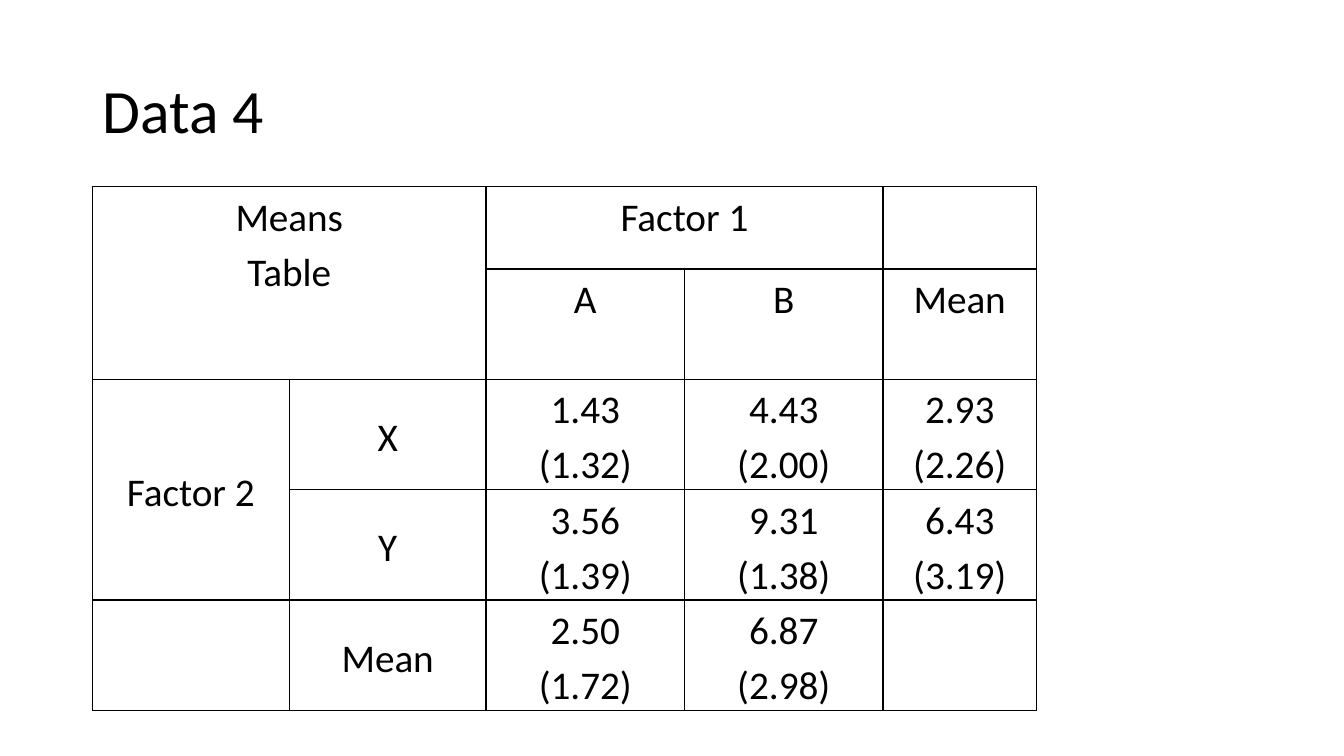
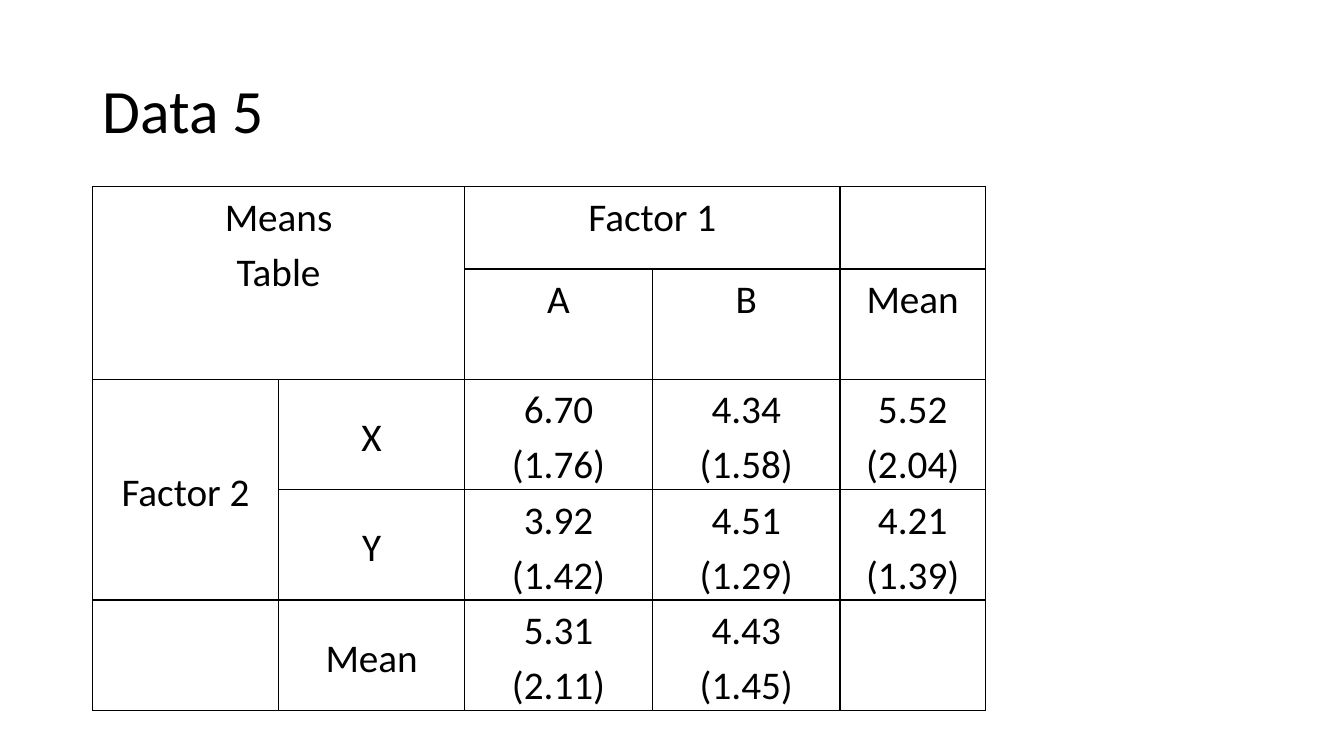
from dataclasses import dataclass

from lxml.etree import SubElement
from pptx import Presentation
from pptx.dml.color import RGBColor
from pptx.enum.text import MSO_ANCHOR as Anchor, PP_ALIGN as Align
from pptx.oxml import parse_xml
from pptx.oxml.ns import nsdecls, qn
from pptx.util import Cm, Pt


@dataclass(frozen=True)
class Theme:
    ink: RGBColor = RGBColor(0, 0, 0)
    font: str = "Calibri"
    title_size: Pt = Pt(44)
    cell_size: Pt = Pt(28)
    border: Pt = Pt(1)


THEME = Theme()
LEFT, TABLE_TOP = Cm(2.33), Cm(4.7)
ROW_HEIGHTS = [2.08, 2.78, 2.78, 2.78, 2.78]
MERGES = [((0, 0), (1, 1)), ((0, 2), (0, 3)), ((2, 0), (3, 0))]
TITLE_BOX = {"left": LEFT, "top": Cm(1.01), "width": Cm(29.21), "height": Cm(3.68)}
CELL_FORMAT = {
    "margin_left": Cm(0.18),
    "margin_right": Cm(0.18),
    "margin_top": 0,
    "margin_bottom": 0,
}
TITLE_PARAGRAPH = {"alignment": Align.LEFT, "line_spacing": 0.9}
CELL_PARAGRAPH = {"alignment": Align.CENTER, "line_spacing": 1.15}

DATASETS = [
    {
        "title": "Data 4",
        "column_widths": [4.96, 4.96, 5, 5, 3.87],
        "X": ["1.43\n(1.32)", "4.43\n(2.00)", "2.93\n(2.26)"],
        "Y": ["3.56\n(1.39)", "9.31\n(1.38)", "6.43\n(3.19)"],
        "Mean": ["2.50\n(1.72)", "6.87\n(2.98)", ""],
    },
    {
        "title": "Data 5",
        "column_widths": [4.69, 4.69, 4.73, 4.73, 3.66],
        "X": ["6.70\n(1.76)", "4.34\n(1.58)", "5.52\n(2.04)"],
        "Y": ["3.92\n(1.42)", "4.51\n(1.29)", "4.21\n(1.39)"],
        "Mean": ["5.31\n(2.11)", "4.43\n(1.45)", ""],
    },
]


def write_text(paragraph, text, size, paragraph_format):
    """Fill a paragraph, turning newlines into line breaks."""
    for index, line in enumerate(text.split("\n")):
        if index:
            paragraph.add_line_break()
        run = paragraph.add_run()
        run.text = line
        run.font.name, run.font.size = THEME.font, size
        run.font.color.rgb = THEME.ink
    for key, value in paragraph_format.items():
        setattr(paragraph, key, value)


def add_borders(cell):
    properties = cell._tc.get_or_add_tcPr()
    for index, side in enumerate(("lnL", "lnR", "lnT", "lnB")):
        line = parse_xml(f'<a:{side} {nsdecls("a")} w="{THEME.border}"/>')
        fill = SubElement(line, qn("a:solidFill"))
        SubElement(fill, qn("a:srgbClr"), val=str(THEME.ink))
        properties.insert(index, line)


deck = Presentation()
deck.slide_width, deck.slide_height = Cm(33.87), Cm(19.05)
title_only = deck.slide_layouts[5]

for dataset in DATASETS:
    slide = deck.slides.add_slide(title_only)
    title = slide.shapes.title
    for key, value in TITLE_BOX.items():
        setattr(title, key, value)
    title.text_frame.vertical_anchor = Anchor.MIDDLE
    write_text(title.text_frame.paragraphs[0], dataset["title"],
               THEME.title_size, TITLE_PARAGRAPH)

    means = [
        ["Means\nTable", "", "Factor 1", "", ""],
        ["", "", "A", "B", "Mean"],
        ["Factor 2", "X", *dataset["X"]],
        ["", "Y", *dataset["Y"]],
        ["", "Mean", *dataset["Mean"]],
    ]
    widths = dataset["column_widths"]
    table = slide.shapes.add_table(
        len(ROW_HEIGHTS), len(widths), LEFT, TABLE_TOP,
        Cm(sum(widths)), Cm(sum(ROW_HEIGHTS))).table
    table.first_row = table.horz_banding = False
    for column, width in zip(table.columns, widths):
        column.width = Cm(width)
    for row, height in zip(table.rows, ROW_HEIGHTS):
        row.height = Cm(height)
    for first, last in MERGES:
        table.cell(*first).merge(table.cell(*last))

    for row_index, row_texts in enumerate(means):
        for column_index, text in enumerate(row_texts):
            cell = table.cell(row_index, column_index)
            for key, value in CELL_FORMAT.items():
                setattr(cell, key, value)
            is_row_label = row_index > 1 and column_index < 2
            cell.vertical_anchor = Anchor.MIDDLE if is_row_label else Anchor.TOP
            cell.fill.background()
            add_borders(cell)
            if text:
                write_text(cell.text_frame.paragraphs[0], text,
                           THEME.cell_size, CELL_PARAGRAPH)

deck.save("out.pptx")
